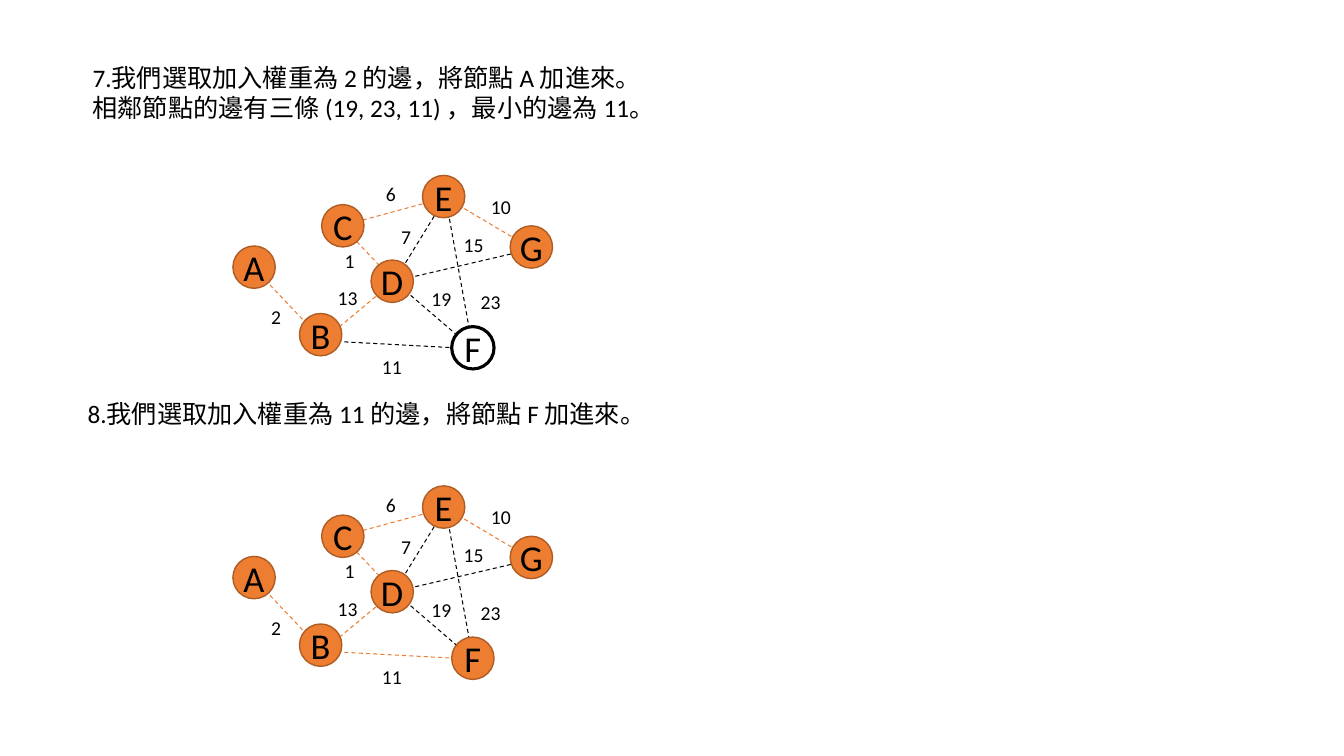
from dataclasses import dataclass

from lxml.etree import SubElement
from pptx import Presentation
from pptx.dml.color import RGBColor
from pptx.enum.dml import MSO_LINE
from pptx.enum.shapes import MSO_CONNECTOR, MSO_SHAPE
from pptx.enum.text import MSO_ANCHOR, MSO_AUTO_SIZE as AutoSize, PP_ALIGN
from pptx.oxml.ns import qn
from pptx.util import Inches, Pt


@dataclass(frozen=True)
class Theme:
    font: str = "Calibri"
    ink: RGBColor = RGBColor(0x00, 0x00, 0x00)
    paper: RGBColor = RGBColor(0xFF, 0xFF, 0xFF)
    chosen: RGBColor = RGBColor(0xED, 0x7D, 0x31)
    chosen_rim: RGBColor = RGBColor(0xAF, 0x5C, 0x24)
    caption_size: Pt = Pt(18)
    node_size: Pt = Pt(26)
    weight_size: Pt = Pt(14)
    edge_width: Pt = Pt(0.75)
    chosen_rim_width: Pt = Pt(1)
    open_rim_width: Pt = Pt(2.25)


THEME = Theme()
NODE_DIAMETER = 0.42
GRAPH_SHIFT = 3.08

NODE_CORNERS = {
    "A": (2.31, 2.44),
    "F": (4.48, 3.24),
    "B": (2.97, 3.11),
    "D": (3.68, 2.58),
    "G": (5.06, 2.24),
    "C": (3.19, 2.03),
    "E": (4.19, 1.74),
}

EDGE_ENDS = {
    "A": (2.53, 2.67),
    "B": (3.2, 3.38),
    "C": (3.39, 2.24),
    "D": (3.91, 2.79),
    "E": (4.42, 1.96),
    "F": (4.69, 3.46),
    "G": (5.28, 2.47),
}

EDGES = [
    ("AB", "2", 2.59, 2.98, 0.43),
    ("CD", "1", 3.32, 2.42, 0.3),
    ("EF", "23", 4.67, 2.83, 0.96),
    ("DG", "15", 4.5, 2.26, 0.96),
    ("BF", "11", 3.69, 3.47, 0.96),
    ("BD", "13", 3.25, 2.79, 0.96),
    ("CE", "6", 3.73, 1.76, 0.96),
    ("EG", "10", 4.77, 1.88, 0.96),
    ("DE", "7", 3.88, 2.18, 0.96),
    ("DF", "19", 4.18, 2.8, 0.41),
]

STEP_7_EDGES = {"AB", "CD", "BD", "CE", "EG"}
STEP_8_EDGES = STEP_7_EDGES | {"BF"}


def add_run(paragraph, words, size):
    run = paragraph.add_run()
    run.text = words
    run.font.name = THEME.font
    run.font.size = size
    run.font.color.rgb = THEME.ink


def add_text(slide, lines, left, top, width, height, size):
    box = slide.shapes.add_textbox(Inches(left), Inches(top), Inches(width), Inches(height))
    frame = box.text_frame
    frame.word_wrap = True
    frame.auto_size = AutoSize.SHAPE_TO_FIT_TEXT
    for index, line in enumerate(lines):
        paragraph = frame.add_paragraph() if index else frame.paragraphs[0]
        add_run(paragraph, line, size)


def add_edge(slide, start, end, shift, color):
    (x1, y1), (x2, y2) = EDGE_ENDS[start], EDGE_ENDS[end]
    edge = slide.shapes.add_connector(
        MSO_CONNECTOR.STRAIGHT,
        Inches(x1), Inches(y1 + shift), Inches(x2), Inches(y2 + shift),
    )
    edge.line.color.rgb = color
    edge.line.width = THEME.edge_width
    edge.line.dash_style = MSO_LINE.DASH
    SubElement(edge.element.spPr, qn("a:effectLst"))


def add_node(slide, letter, shift, is_chosen):
    left, top = NODE_CORNERS[letter]
    node = slide.shapes.add_shape(
        MSO_SHAPE.OVAL, Inches(left), Inches(top + shift),
        Inches(NODE_DIAMETER), Inches(NODE_DIAMETER),
    )
    node.shadow.inherit = False
    node.fill.solid()
    node.fill.fore_color.rgb = THEME.chosen if is_chosen else THEME.paper
    node.line.color.rgb = THEME.chosen_rim if is_chosen else THEME.ink
    node.line.width = THEME.chosen_rim_width if is_chosen else THEME.open_rim_width
    frame = node.text_frame
    frame.margin_left = frame.margin_right = frame.margin_top = frame.margin_bottom = 0
    frame.word_wrap = False
    frame.vertical_anchor = MSO_ANCHOR.MIDDLE
    frame.paragraphs[0].alignment = PP_ALIGN.CENTER
    add_run(frame.paragraphs[0], letter, THEME.node_size)


def add_graph(slide, shift, chosen_edges):
    chosen_nodes = set("".join(chosen_edges))
    for ends, *_ in EDGES:
        color = THEME.chosen if ends in chosen_edges else THEME.ink
        add_edge(slide, *ends, shift, color)
    for letter in NODE_CORNERS:
        add_node(slide, letter, shift, letter in chosen_nodes)
    for _, weight, left, top, width in EDGES:
        add_text(slide, [weight], left, top + shift, width, 0.34, THEME.weight_size)


def main():
    deck = Presentation()
    deck.slide_width, deck.slide_height = Inches(13.33), Inches(7.5)
    slide = deck.slides.add_slide(deck.slide_layouts[6])
    step_7 = [
        "7.我們選取加入權重為 2 的邊，將節點 A 加進來。",
        "相鄰節點的邊有三條 (19, 23, 11) ，最小的邊為 11。",
    ]
    step_8 = ["8.我們選取加入權重為 11 的邊，將節點 F 加進來。"]
    add_text(slide, step_7, 0.82, 0.57, 11.3, 0.71, THEME.caption_size)
    add_graph(slide, 0, STEP_7_EDGES)
    add_text(slide, step_8, 0.77, 3.9, 11.3, 0.4, THEME.caption_size)
    add_graph(slide, GRAPH_SHIFT, STEP_8_EDGES)
    deck.save("out.pptx")


if __name__ == "__main__":
    main()
